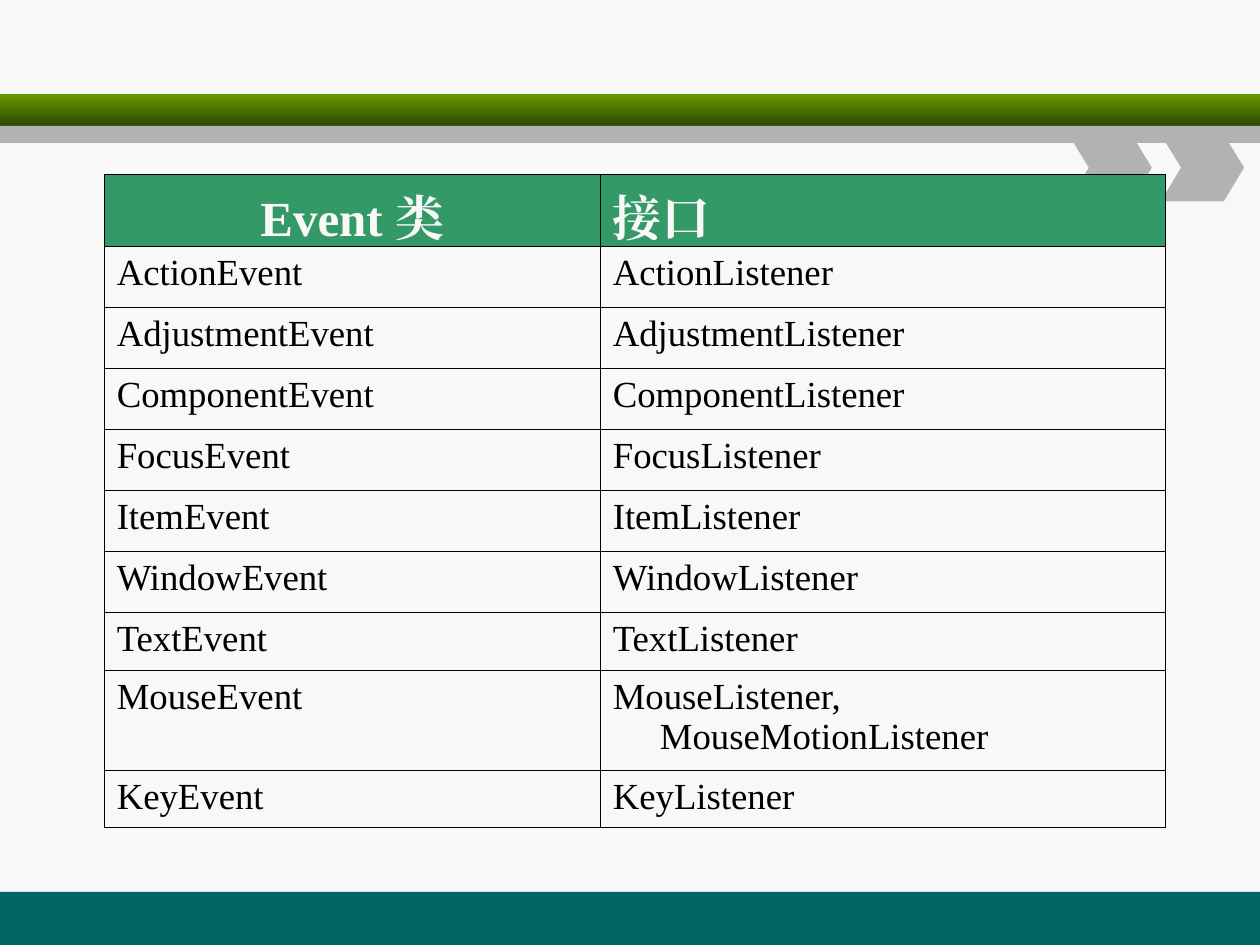
from dataclasses import dataclass

from lxml.etree import SubElement as Sub
from pptx import Presentation
from pptx.dml.color import RGBColor as Rgb
from pptx.enum.shapes import MSO_SHAPE as Kind
from pptx.enum.text import MSO_ANCHOR as Anchor, PP_ALIGN as Align
from pptx.oxml.ns import qn
from pptx.util import Cm, Pt

# Content
HEAD = ("Event 类", "接口")
ROWS = [
    ("ActionEvent", "ActionListener"),
    ("AdjustmentEvent", "AdjustmentListener"),
    ("ComponentEvent", "ComponentListener"),
    ("FocusEvent", "FocusListener"),
    ("ItemEvent", "ItemListener"),
    ("WindowEvent", "WindowListener"),
    ("TextEvent", "TextListener"),
    ("MouseEvent", "MouseListener, MouseMotionListener"),
    ("KeyEvent", "KeyListener"),
]

# Layout in centimetres
WIDE, HIGH = 25.4, 19.05
LEFT, TOP = 2.1, 3.52
COLS = (10, 11.4)
TALL = [1.45] + [1.23] * 6 + [1.16, 2.03, 1.15]
ARROW = [(0, 0), (1.27, 0), (1.68, 0.67), (1.27, 1.35), (0, 1.35), (0.41, 0.67)]


@dataclass
class Theme:
    font: str = "Times New Roman"
    back: str = "F8F8F8"
    text: str = "000000"
    head: str = "339966"
    foot: str = "006666"
    gray: str = "B2B2B2"
    fade: tuple = ("669900", "2F4700")
    big: int = 28
    base: int = 21
    line: float = 0.45


T = Theme()


def rgb(code):
    return Rgb.from_string(code)


def paint(shape, color):
    shape.shadow.inherit = False
    shape.line.fill.background()
    if isinstance(color, tuple):
        shape.fill.gradient()
        shape.fill.gradient_angle = 270
        for stop, code in zip(shape.fill.gradient_stops, color):
            stop.color.rgb = rgb(code)
    else:
        shape.fill.solid()
        shape.fill.fore_color.rgb = rgb(color)


def bar(slide, top, high, color):
    box = slide.shapes.add_shape(Kind.RECTANGLE, 0, Cm(top), Cm(WIDE), Cm(high))
    paint(box, color)


def arrow(slide, left, top):
    pts = [(Cm(left + x), Cm(top + y)) for x, y in ARROW]
    pen = slide.shapes.build_freeform(*pts[0])
    pen.add_line_segments(pts[1:], close=True)
    paint(pen.convert_to_shape(), T.gray)


def write(frame, text, size=T.base, color=T.text, bold=False, align=Align.LEFT):
    para = frame.paragraphs[0]
    para.alignment = align
    props = para._p.get_or_add_pPr()
    props.set("marL", str(Cm(0.95)))
    props.set("indent", str(Cm(-0.95)))
    run = para.add_run()
    run.text = text
    font = run.font
    font.name, font.size, font.bold = T.font, Pt(size), bold
    font.color.rgb = rgb(color)
    Sub(run._r.get_or_add_rPr(), qn("a:ea"), typeface=T.font)


def border(cell):
    props = cell._tc.get_or_add_tcPr()
    for side in ("lnL", "lnR", "lnT", "lnB"):
        line = Sub(props, qn(f"a:{side}"), w=str(Pt(T.line)))
        Sub(Sub(line, qn("a:solidFill")), qn("a:srgbClr"), val=T.text)


def grid(slide):
    data = [HEAD] + ROWS
    table = slide.shapes.add_table(
        len(data), len(COLS), Cm(LEFT), Cm(TOP), Cm(sum(COLS)), Cm(sum(TALL))
    ).table
    table.first_row = table.horz_banding = False
    for col, wide in zip(table.columns, COLS):
        col.width = Cm(wide)
    for r, (row, high) in enumerate(zip(data, TALL)):
        table.rows[r].height = Cm(high)
        for c, text in enumerate(row):
            cell = table.cell(r, c)
            border(cell)
            cell.fill.solid()
            cell.fill.fore_color.rgb = rgb(T.back if r else T.head)
            if r:
                write(cell.text_frame, text)
                continue
            # Header text sits on the lower edge of its row
            cell.margin_top = cell.margin_bottom = 0
            cell.vertical_anchor = Anchor.BOTTOM
            write(cell.text_frame, text, size=T.big, color=T.back, bold=True,
                  align=Align.LEFT if c else Align.CENTER)


def main():
    deck = Presentation()
    deck.slide_width, deck.slide_height = Cm(WIDE), Cm(HIGH)
    slide = deck.slides.add_slide(deck.slide_layouts[6])
    slide.background.fill.solid()
    slide.background.fill.fore_color.rgb = rgb(T.back)

    # Bands and arrows
    bar(slide, 17.98, 1.07, T.foot)
    bar(slide, 1.9, 0.64, T.fade)
    bar(slide, 2.54, 0.34, T.gray)
    for i in range(2):
        arrow(slide, 21.54 + i * 1.86, 2.71)

    # Event table
    grid(slide)
    deck.save("out.pptx")


if __name__ == "__main__":
    main()
